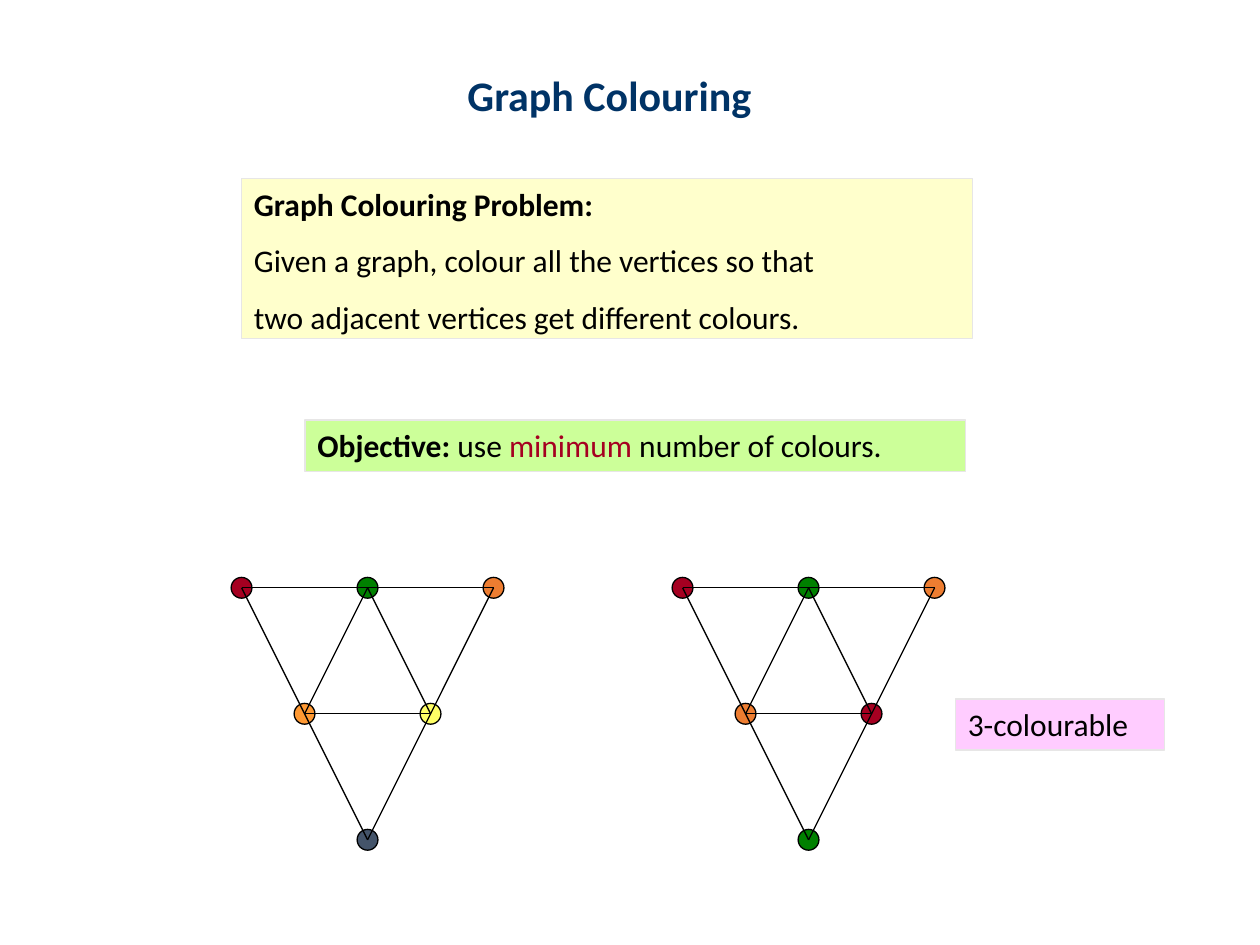
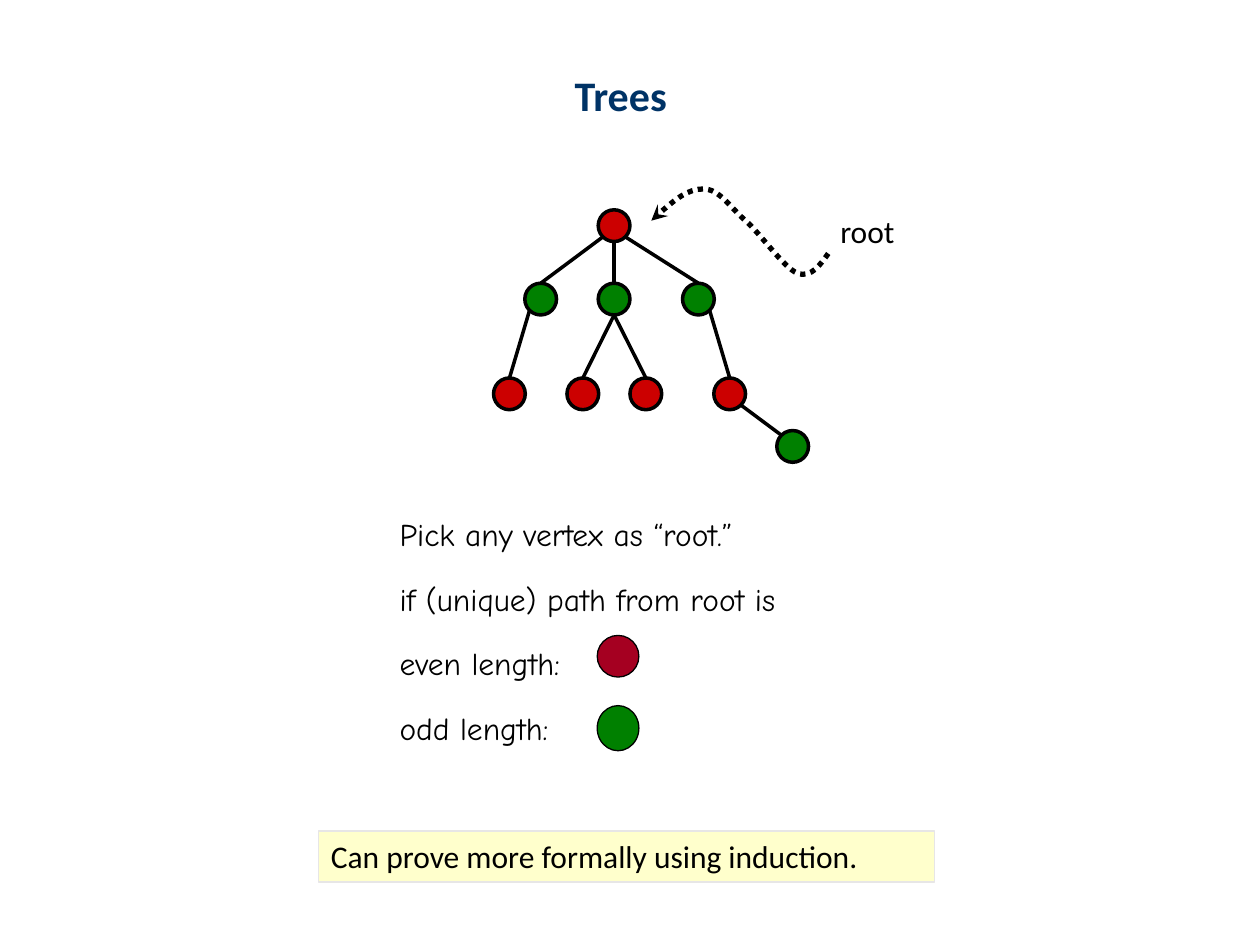
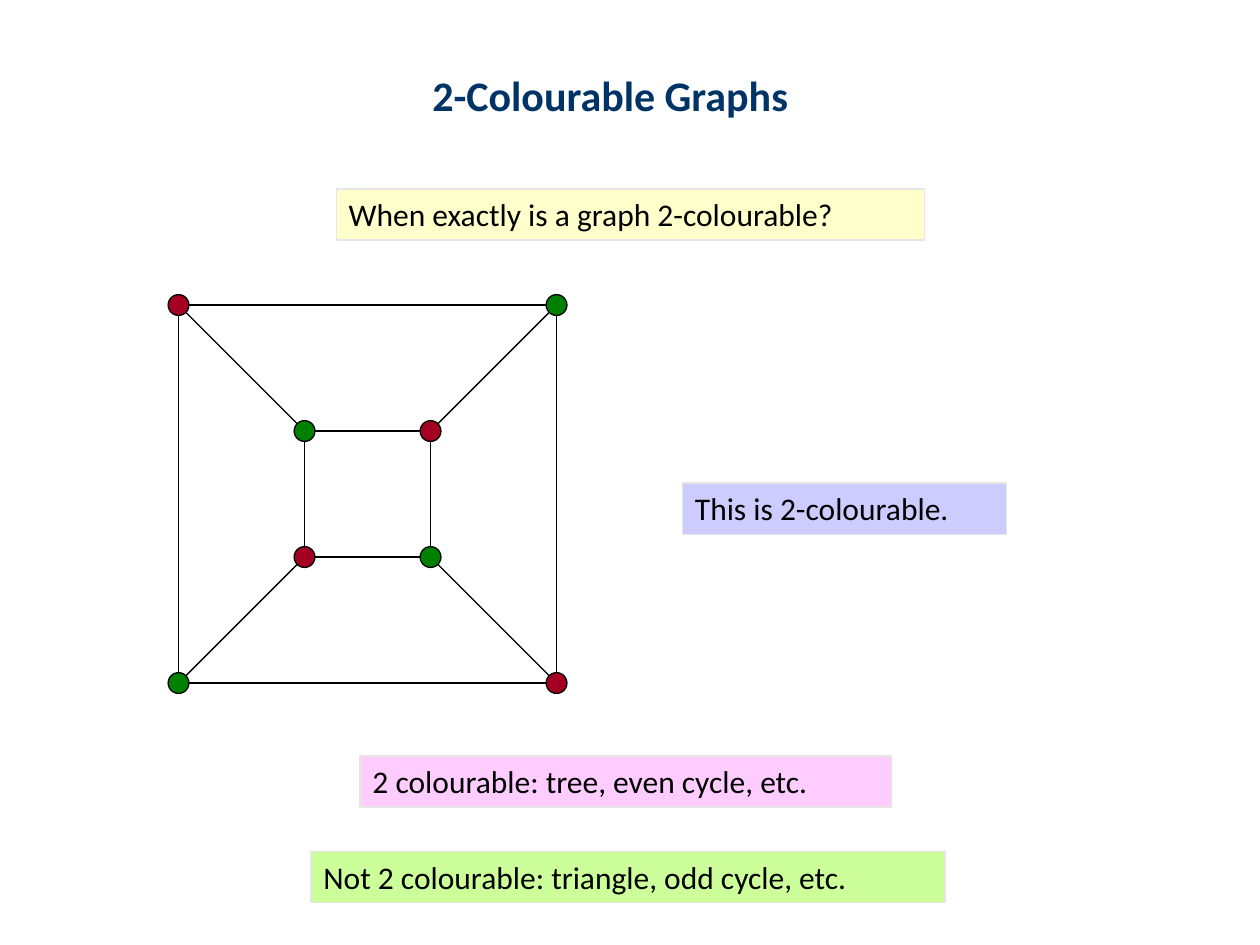
"""Build three slides on graph colouring, trees and 2-colourable graphs."""
from itertools import product

from lxml.etree import SubElement
from pptx import Presentation
from pptx.dml.color import RGBColor
from pptx.enum.dml import MSO_LINE
from pptx.enum.shapes import MSO_CONNECTOR, MSO_SHAPE
from pptx.enum.text import MSO_ANCHOR, MSO_AUTO_SIZE, PP_ALIGN
from pptx.oxml.ns import qn
from pptx.util import Cm, Pt

COLOURS = {
    "navy": "003366", "black": "000000", "border": "E7E6E6",
    "cream": "FFFFCC", "lime": "CCFF99", "pink": "FFCCFF", "lilac": "CCCCFF",
    "brick": "A50021", "red": "CC0000", "green": "008000", "orange": "ED7D31",
    "amber": "FF9933", "yellow": "FFFF66", "slate": "44546A",
}
RGB = {name: RGBColor.from_string(value) for name, value in COLOURS.items()}
FONT = "Calibri"
THIN, THICK = 0.75, 2
STEP = 2.54
SMALL_VERTEX = (0.42, 0.42)


def add_vertex(slide, centre, size, colour, weight=THIN):
    left, top = (middle - extent / 2 for middle, extent in zip(centre, size))
    vertex = slide.shapes.add_shape(
        MSO_SHAPE.OVAL, Cm(left), Cm(top), Cm(size[0]), Cm(size[1]))
    vertex.shadow.inherit = False
    vertex.fill.solid()
    vertex.fill.fore_color.rgb = RGB[colour]
    vertex.line.color.rgb = RGB["black"]
    vertex.line.width = Pt(weight)


def add_edge(slide, start, end, weight=THIN):
    edge = slide.shapes.add_connector(
        MSO_CONNECTOR.STRAIGHT, *(Cm(length) for length in (*start, *end)))
    edge.line.color.rgb = RGB["black"]
    edge.line.width = Pt(weight)
    SubElement(edge._element.spPr, qn("a:effectLst"))


presentation = Presentation()
presentation.slide_width, presentation.slide_height = Cm(25.4), Cm(19.05)

slides = []
for heading, layout, left, width in (
    ("Graph Colouring", 5, 9.17, 6.91),
    ("Trees", 1, 11.33, 2.87),
    ("2-Colourable Graphs", 5, 8.46, 8.89),
):
    slide = presentation.slides.add_slide(presentation.slide_layouts[layout])
    slides.append(slide)
    title = slide.shapes.title
    title.left, title.top, title.width, title.height = Cm(left), Cm(1.27), Cm(width), Cm(1.27)
    title.text_frame.text = heading
    title.text_frame.auto_size = MSO_AUTO_SIZE.NONE
    title.text_frame.vertical_anchor = MSO_ANCHOR.TOP
    title.text_frame.paragraphs[0].alignment = PP_ALIGN.LEFT
    font = title.text_frame.paragraphs[0].runs[0].font
    font.name, font.size, font.bold = FONT, Pt(24), True
    font.color.rgb = RGB["navy"]
colouring, trees, two_colourable = slides

BOLD_PHRASES = ("Graph Colouring Problem:", "Objective:")
statements = (
    (colouring, 4.87, 3.6, 14.73, 3.23, "cream", [
        ["Graph Colouring Problem:"],
        ["Given a graph, colour all the vertices so that"],
        ["two adjacent vertices get different colours."]]),
    (colouring, 6.15, 8.47, 13.31, 1.03, "lime",
     [["Objective:", " use ", "minimum", " number of colours."]]),
    (colouring, 19.26, 14.09, 4.22, 1.03, "pink", [["3-colourable"]]),
    (trees, 6.42, 16.75, 12.42, 1.03, "cream",
     [["Can prove more formally using induction."]]),
    (two_colourable, 6.78, 3.81, 11.86, 1.03, "cream",
     [["When exactly is a graph 2-colourable?"]]),
    (two_colourable, 13.76, 9.74, 6.53, 1.03, "lilac", [["This is 2-colourable."]]),
    (two_colourable, 7.26, 15.24, 10.72, 1.03, "pink",
     [["2 colourable: tree, even cycle, etc."]]),
    (two_colourable, 6.27, 17.17, 12.78, 1.03, "lime",
     [["Not 2 colourable: triangle, odd cycle, etc."]]),
)
for slide, left, top, width, height, fill, lines in statements:
    statement = slide.shapes.add_shape(
        MSO_SHAPE.RECTANGLE, Cm(left), Cm(top), Cm(width), Cm(height))
    statement.shadow.inherit = False
    statement.fill.solid()
    statement.fill.fore_color.rgb = RGB[fill]
    statement.line.color.rgb = RGB["border"]
    statement.line.width = Pt(THIN)
    statement.text_frame.word_wrap = True
    statement.text_frame.vertical_anchor = MSO_ANCHOR.TOP
    statement.text_frame.text = "\n".join(phrases[0] for phrases in lines)
    for number, (paragraph, phrases) in enumerate(zip(statement.text_frame.paragraphs, lines)):
        paragraph.alignment = PP_ALIGN.LEFT
        paragraph.line_spacing = 1.5 if number else 1.0
        for phrase in phrases[1:]:
            paragraph.add_run().text = phrase
        for run in paragraph.runs:
            run.font.name, run.font.size = FONT, Pt(18)
            run.font.bold = run.text in BOLD_PHRASES
            run.font.color.rgb = RGB["brick" if run.text == "minimum" else "black"]

triangle_grid = ((0, 0), (1, 0), (2, 0), (0.5, 1), (1.5, 1), (1, 2))
triangle_edges = ((0, 5), (0, 2), (2, 5), (1, 3), (3, 4), (1, 4))
for origin, vertex_colours in (
    (4.87, ("brick", "green", "orange", "amber", "yellow", "slate")),
    (13.76, ("brick", "green", "orange", "orange", "brick", "green")),
):
    centres = [(origin + column * STEP, 11.85 + row * STEP) for column, row in triangle_grid]
    for centre, colour in zip(centres, vertex_colours):
        add_vertex(colouring, centre, SMALL_VERTEX, colour)
    for start, end in triangle_edges:
        add_edge(colouring, centres[start], centres[end])

rule = trees.placeholders[1]
rule.left, rule.top, rule.width, rule.height = Cm(7.8), Cm(10.26), Cm(9.53), Cm(5.72)
rule.text_frame.text = (
    "Pick any vertex as “root.”\nif (unique) path from root is\neven length:\nodd length:")
rule.text_frame.auto_size = MSO_AUTO_SIZE.NONE
for number, paragraph in enumerate(rule.text_frame.paragraphs):
    properties = paragraph._p.get_or_add_pPr()
    properties.set("marL", str(Cm(0.95)))
    properties.set("indent", str(-Cm(0.95)))
    SubElement(properties, qn("a:buNone"))
    paragraph.space_before = Pt(4.5 if number else 0)
    paragraph.line_spacing = 1.5 if number else 1.0
    font = paragraph.runs[0].font
    font.name, font.size = "Comic Neue", Pt(18)
    font.color.rgb = RGB["black"]

root_label = trees.shapes.add_textbox(Cm(16.69), Cm(4.14), Cm(1.78), Cm(1.02))
root_label.text_frame.word_wrap = True
root_label.text_frame.text = "root"
font = root_label.text_frame.paragraphs[0].runs[0].font
font.name, font.size = FONT, Pt(18)
font.color.rgb = RGB["black"]

pointer_points = [(Cm(x), Cm(y)) for x, y in (
    (13.13, 4.45),
    (13.49, 4.11), (13.87, 3.81), (14.18, 3.81),
    (14.5, 3.81), (14.71, 4.17), (15.03, 4.45),
    (15.34, 4.72), (15.8, 5.4), (16.08, 5.51),
    (16.36, 5.61), (16.54, 5.33), (16.72, 5.08))]
builder = trees.shapes.build_freeform(*pointer_points[0])
builder.add_line_segments(pointer_points[1:], close=False)
root_pointer = builder.convert_to_shape()
root_pointer.shadow.inherit = False
root_pointer.fill.background()
root_pointer.line.color.rgb = RGB["black"]
root_pointer.line.width = Pt(3)
root_pointer.line.dash_style = MSO_LINE.ROUND_DOT
SubElement(root_pointer.line._get_or_add_ln(), qn("a:headEnd"), type="stealth")
outline = root_pointer._element.find(".//" + qn("a:path"))
segments = outline.findall(qn("a:lnTo"))
for first in range(0, len(segments), 3):
    bezier = SubElement(outline, qn("a:cubicBezTo"))
    for segment in segments[first:first + 3]:
        bezier.append(segment[0])
        outline.remove(segment)

tree_vertices = {
    "root": (12.38, 4.55, "red"),
    "left": (10.9, 6.03, "green"),
    "middle": (12.38, 6.03, "green"),
    "right": (14.08, 6.03, "green"),
    "left leaf": (10.27, 7.94, "red"),
    "middle leaf 1": (11.75, 7.94, "red"),
    "middle leaf 2": (13.02, 7.94, "red"),
    "right child": (14.71, 7.94, "red"),
    "right leaf": (15.98, 9, "green"),
}
TREE_DIAMETER = 0.64
rim = {"N": (0, -0.5), "S": (0, 0.5), "SW": (-0.35, 0.35),
       "SE": (0.35, 0.35), "NW": (-0.35, -0.35)}
for parent, leaving, child, entering in (
    ("root", "S", "middle", "N"),
    ("root", "SW", "left", "N"),
    ("root", "SE", "right", "N"),
    ("middle", "S", "middle leaf 1", "N"),
    ("middle", "S", "middle leaf 2", "N"),
    ("left", "SW", "left leaf", "N"),
    ("right", "SE", "right child", "N"),
    ("right child", "SE", "right leaf", "NW"),
):
    start, end = (
        [middle + offset * TREE_DIAMETER
         for middle, offset in zip(tree_vertices[vertex][:2], rim[side])]
        for vertex, side in ((parent, leaving), (child, entering)))
    add_edge(trees, start, end, THICK)
for x, y, colour in tree_vertices.values():
    add_vertex(trees, (x, y), (TREE_DIAMETER, TREE_DIAMETER), colour, THICK)
add_vertex(trees, (12.46, 13.23), (0.84, 0.84), "brick")
add_vertex(trees, (12.46, 14.68), (0.84, 0.91), "green")

outer, inner = (
    [(3.6 + column * STEP, 6.15 + row * STEP)
     for column, row in ((near, near), (far, near), (far, far), (near, far))]
    for near, far in ((0, 3), (1, 2)))
for square, corner in product((outer, inner), range(4)):
    add_edge(two_colourable, square[corner], square[(corner + 1) % 4])
for outer_corner, inner_corner in zip(outer, inner):
    add_edge(two_colourable, outer_corner, inner_corner)
for ring, square in enumerate((outer, inner)):
    for corner, centre in enumerate(square):
        add_vertex(two_colourable, centre, SMALL_VERTEX,
                   ("brick", "green")[(ring + corner) % 2])

presentation.save("out.pptx")
